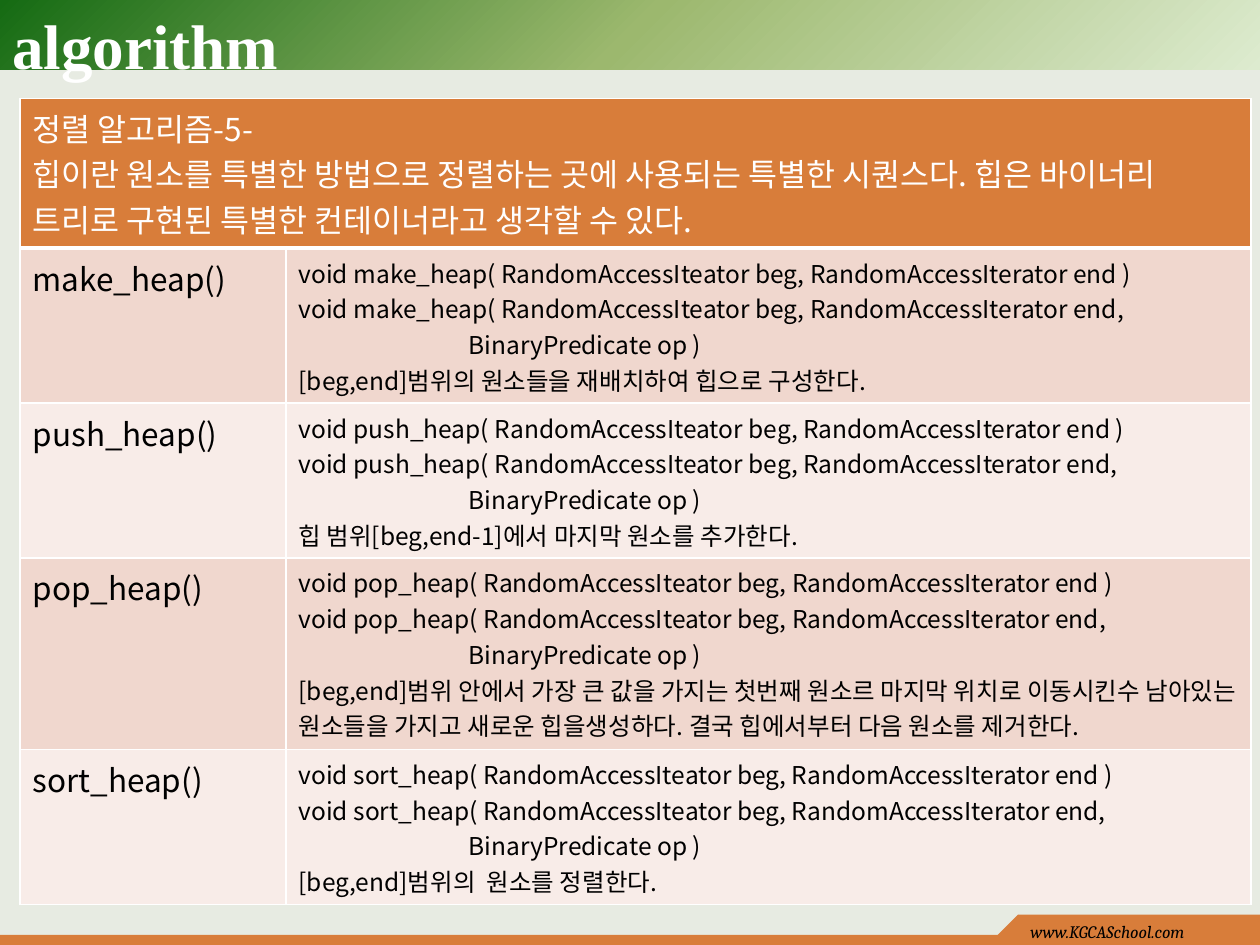
from lxml import etree
from pptx import Presentation, util as u
from pptx.dml.color import RGBColor
from pptx.enum import shapes, text
from pptx.oxml import parse_xml
from pptx.oxml.ns import nsdecls, qn

ORANGE, WHITE, BLACK = "D87D3A", "FFFFFF", "000000"
BANDS = ["F0D7CE", "F8ECE8"]
BODY_FONT = "Noto Sans CJK KR"
HEADER = [
    "정렬 알고리즘-5-",
    "힙이란 원소를 특별한 방법으로 정렬하는 곳에 사용되는 특별한 시퀀스다. 힙은 바이너리 트리로 구현된 특별한 컨테이너라고 생각할 수 있다.",
]
FUNCTIONS = [
    ("make_heap", 1.23, "[beg,end]범위의 원소들을 재배치하여 힙으로 구성한다."),
    ("push_heap", 1.23, "힙 범위[beg,end-1]에서 마지막 원소를 추가한다."),
    ("pop_heap", 1.52, "[beg,end]범위 안에서 가장 큰 값을 가지는 첫번째 원소르 마지막 위치로 이동시킨수 남아있는 원소들을 가지고 새로운 힙을생성하다. 결국 힙에서부터 다음 원소를 제거한다."),
    ("sort_heap", 1.23, "[beg,end]범위의  원소를 정렬한다."),
]


def color(value):
    """Turn a hex string into a colour."""
    return RGBColor.from_string(value)


def paint(shape, fill):
    """Give a shape a flat fill without line or shadow."""
    shape.shadow.inherit = False
    shape.line.fill.background()
    shape.fill.solid()
    shape.fill.fore_color.rgb = color(fill)


def write(frame, lines, size, font, ink, bold=False, italic=False):
    """Write one paragraph per line in a single style."""
    frame.word_wrap = True
    for index, line in enumerate(lines):
        para = frame.add_paragraph() if index else frame.paragraphs[0]
        para.text = line
        para.font.size = u.Pt(size)
        para.font.bold, para.font.italic = bold, italic
        para.font.color.rgb = color(ink)
        para.font.name = font
        latin = para._p.pPr.find(qn("a:defRPr")).find(qn("a:latin"))
        latin.addnext(parse_xml(f'<a:ea {nsdecls("a")} typeface="{font}"/>'))


def add_title_band(page, left, top, width, height):
    """Draw the green gradient band and the title."""
    band = page.shapes.add_shape(
        shapes.MSO_SHAPE.RECTANGLE, *map(u.Inches, (left, top, width, height)))
    paint(band, "9CB86E")
    stops = "".join(
        f'<a:gs pos="{place}"><a:srgbClr val="{value}"/></a:gs>'
        for place, value in ((0, "DDEBCF"), (50000, "9CB86E"), (100000, "156B13")))
    gradient = parse_xml(
        f'<a:gradFill {nsdecls("a")} rotWithShape="1"><a:gsLst>{stops}</a:gsLst>'
        '<a:path path="circle"><a:fillToRect l="100000" t="100000"/></a:path></a:gradFill>')
    properties = band._element.spPr
    properties.replace(properties.find(qn("a:solidFill")), gradient)
    box = page.shapes.add_textbox(*map(u.Inches, (left, top, width - 1, height + 0.15)))
    box.text_frame.vertical_anchor = text.MSO_ANCHOR.MIDDLE
    write(box.text_frame, ["algorithm"], 36, "Times New Roman", WHITE, bold=True)


def add_footer(page, left, top, width, height):
    """Draw the bottom strip with its raised tab and web address."""
    tab, slope, strip = 1.92, 0.17, 0.08
    tab_left, strip_top = left + width - tab, top + height - strip
    for area in ((left, strip_top, width, strip), (tab_left, top, tab, slope)):
        paint(page.shapes.add_shape(
            shapes.MSO_SHAPE.RECTANGLE, *map(u.Inches, area)), ORANGE)
    builder = page.shapes.build_freeform(
        u.Inches(tab_left - slope), u.Inches(top + slope))
    builder.add_line_segments([
        (u.Inches(tab_left), u.Inches(top + slope)),
        (u.Inches(tab_left), u.Inches(top))])
    paint(builder.convert_to_shape(), ORANGE)
    box = page.shapes.add_textbox(*map(u.Inches, (tab_left, top, tab, height)))
    write(box.text_frame, ["www.KGCASchool.com"], 10, "Cambria", BLACK, italic=True)


def fill_cell(cell, lines, size, ink, fill, bottom=1):
    """Write, colour and border one table cell."""
    write(cell.text_frame, lines, size, BODY_FONT, ink)
    properties = cell._tc.get_or_add_tcPr()
    for side, points in (("L", 1), ("R", 1), ("T", 1), ("B", bottom)):
        line = etree.SubElement(properties, qn(f"a:ln{side}"), w=str(u.Pt(points)))
        solid = etree.SubElement(line, qn("a:solidFill"))
        etree.SubElement(solid, qn("a:srgbClr"), val=WHITE)
    cell.fill.solid()
    cell.fill.fore_color.rgb = color(fill)


def add_heap_table(page, left, top, width):
    """Build the table of heap functions."""
    heights = [1.19] + [height for _, height, _ in FUNCTIONS]
    table = page.shapes.add_table(
        len(heights), 2, *map(u.Inches, (left, top, width, sum(heights)))).table
    table.columns[0].width = u.Inches(2.11)
    table.columns[1].width = u.Inches(width - 2.11)
    for row, height in zip(table.rows, heights):
        row.height = u.Inches(height)
    table.cell(0, 0).merge(table.cell(0, 1))
    fill_cell(table.cell(0, 0), HEADER, 18, WHITE, ORANGE, bottom=3)
    for index, (name, _, note) in enumerate(FUNCTIONS):
        start = f"void {name}( RandomAccessIteator beg, RandomAccessIterator end"
        overload = f"{start},\v                               BinaryPredicate op )"
        fill = BANDS[index % 2]
        fill_cell(table.cell(index + 1, 0), [f"{name}()"], 18, BLACK, fill)
        fill_cell(table.cell(index + 1, 1), [f"{start} )", overload, note], 14, BLACK, fill)


def main():
    """Build and save the deck."""
    deck = Presentation()
    deck.slide_width, deck.slide_height = u.Inches(10), u.Inches(7.5)
    page = deck.slides.add_slide(deck.slide_layouts[6])
    page.background.fill.solid()
    page.background.fill.fore_color.rgb = color("E7EBE2")
    add_title_band(page, 0, 0, 10, 0.55)
    add_footer(page, 0, 7.26, 10, 0.24)
    add_heap_table(page, 0.16, 0.78, 9.77)
    deck.save("out.pptx")


if __name__ == "__main__":
    main()
